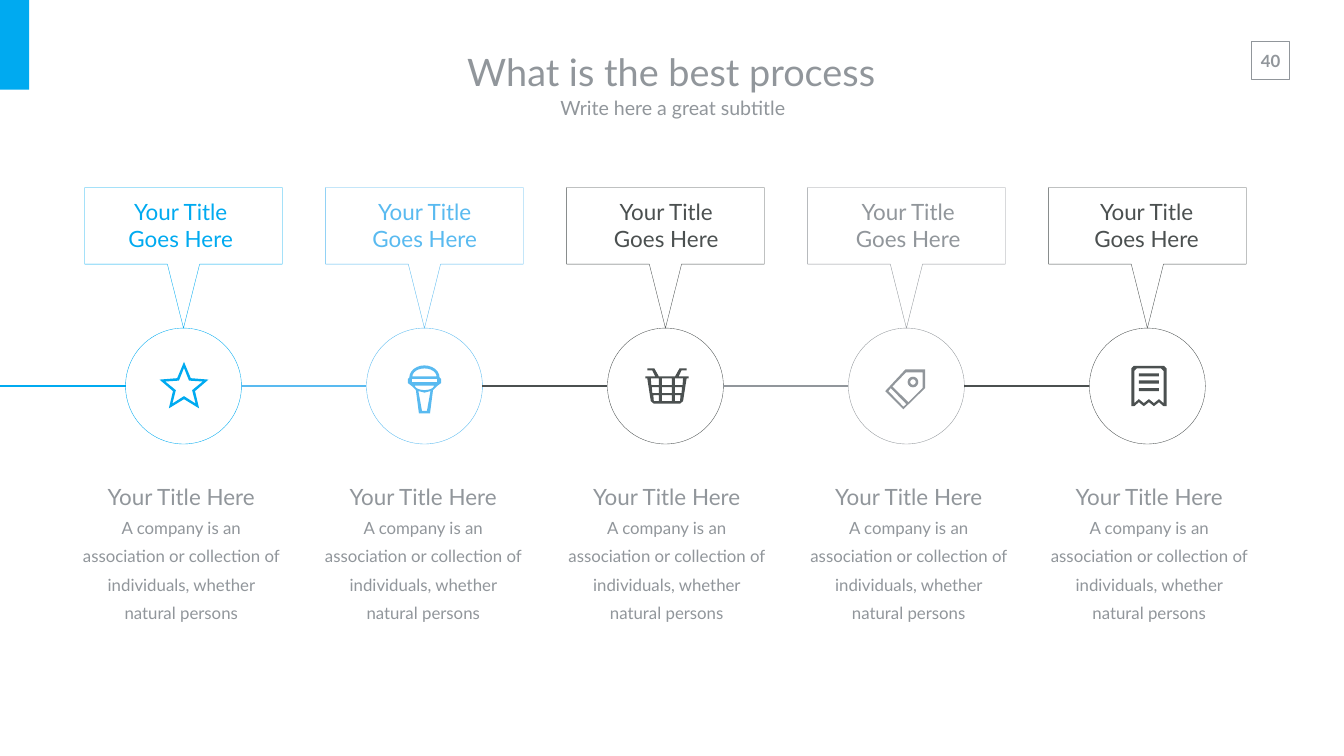
import dataclasses
import math

import pptx
import pptx.dml.color
import pptx.enum.shapes
import pptx.enum.text
import pptx.oxml.ns
import pptx.util
from lxml import etree

Inches = pptx.util.Inches
Shape = pptx.enum.shapes.MSO_SHAPE
Align = pptx.enum.text.PP_ALIGN
Anchor = pptx.enum.text.MSO_ANCHOR
AutoSize = pptx.enum.text.MSO_AUTO_SIZE


@dataclasses.dataclass(frozen=True)
class Theme:
    font: str = "Lato"
    blue: str = "00AAF0"
    sky: str = "59BAF0"
    dark: str = "4B5050"
    grey: str = "91969B"
    white: str = "FFFFFF"
    title_size: int = 54
    subtitle_size: int = 28
    heading_size: int = 32
    body_size: int = 24
    thin: float = 0.5
    frame: float = 1
    thick: float = 3


THEME = Theme()

# Timeline geometry, in inches
FIRST_CENTRE, PITCH, AXIS, RADIUS = 3.64, 4.78, 7.66, 1.15
CALLOUT_TOP = 3.72


# Icon outlines, in hundredths of an inch from the circle's centre
def arc(x, y, radius_x, radius_y, start=0, end=360, steps=24):
    angles = [math.radians(start + (end - start) * step / steps) for step in range(steps + 1)]
    return [(x + radius_x * math.cos(a), y + radius_y * math.sin(a)) for a in angles]


def mirror(half, axis=0):
    """Complete a right half, given from its axis, with its left half."""
    return [(axis + x, y) for x, y in half] + [(axis - x, y) for x, y in reversed(half)]


def box_outline(half_width, top, bottom, axis=0):
    return mirror([(half_width, top), (half_width, bottom)], axis)


def star_outline(outer, inner):
    tips = arc(1, 3, outer, outer, -90, 270, 5)
    notches = arc(1, 3, inner, inner, -54, 306, 5)
    return [point for pair in zip(tips[:5], notches) for point in pair]


def star_icon():
    return [star_outline(51, 23), star_outline(39, 17)]


def microphone_icon():
    body = [(33, -14), (33, -6), (25, 0), (17, 8), (11, 54)]
    return [
        mirror(arc(0, -17, 30, 24, -90, 0, 6) + body),
        mirror(arc(0, -19, 24, 16, -90, 0, 6)),
        box_outline(25, -14, -8),
        mirror(arc(0, -1, 19, 9, 0, 90, 6)),
        mirror([(0, 13), (12, 10), (5, 49)]),
    ]


def basket_icon():
    axis = 3
    rim = [(16, -19), (25, -35), (39, -35), (39, -31), (29, -31), (23, -19), (43, -19)]
    contours = [mirror(rim + [(43, -15), (39, -15), (32, 30), (26, 35)], axis)]
    for top, bottom, right in ((-15, -2, 32), (2, 14, 30), (18, 30, 27)):
        contours.append(box_outline(10, top, bottom, axis))
        for side in (-1, 1):
            cell = [(16, top), (right, top), (right - 1, bottom), (16, bottom)]
            contours.append([(axis + side * x, y) for x, y in cell])
    return contours


def tag_icon():
    return [
        [(37, -33), (-2, -33), (-42, 10), (-6, 46), (37, 4)],
        [(32, -27), (-1, -27), (-28, 1), (4, 32), (32, 4)],
        [(-31, 4), (-36, 10), (-6, 41), (0, 36)],
        arc(13, -8, 10.5, 10.5),
        arc(13, -8, 5.5, 5.5),
    ]


def receipt_icon():
    contours = []
    for half_width, top, bottom in ((35, -40, 40), (29, -35, 34)):
        teeth = [(x, bottom - 8 * (x % 20 == 0)) for x in (20, 10, 0)]
        corners = [(half_width - 5, top), (half_width, top + 5), (half_width, bottom)]
        contours.append(mirror(corners + [(29, bottom)] + teeth, 3))
    return contours + [box_outline(20, top, top + 6, 3) for top in (-25, -11, 4)]


# Colour, left of callout text, left of description, icon
STEPS = [
    (THEME.blue, 1.61, 1.54, star_icon),
    (THEME.sky, 6.45, 6.34, microphone_icon),
    (THEME.dark, 11.24, 11.17, basket_icon),
    (THEME.grey, 16.04, 15.97, tag_icon),
    (THEME.dark, 20.77, 20.74, receipt_icon),
]


def rgb(value):
    return pptx.dml.color.RGBColor.from_string(value)


def style(shape, fill=None, line=None, width=THEME.thin):
    shape.shadow.inherit = False
    for target, colour in ((shape.fill, fill), (shape.line.fill, line)):
        if colour:
            target.solid()
            target.fore_color.rgb = rgb(colour)
        else:
            target.background()
    if line:
        shape.line.width = pptx.util.Pt(width)


def add_preset(slide, kind, box, **look):
    shape = slide.shapes.add_shape(kind, *map(Inches, box))
    style(shape, **look)


def add_outline(slide, contours, x, y, **look):
    """Draw closed contours, in hundredths of an inch around (x, y)."""
    scaled = [[(Inches(a / 100), Inches(b / 100)) for a, b in contour] for contour in contours]
    builder = slide.shapes.build_freeform(*scaled[0][0], scale=1.0)
    for index, contour in enumerate(scaled):
        if index:
            builder.move_to(*contour[0])
        builder.add_line_segments(contour[1:], close=True)
    style(builder.convert_to_shape(Inches(x), Inches(y)), **look)


def add_line(slide, start, end, colour):
    line = slide.shapes.add_connector(
        pptx.enum.shapes.MSO_CONNECTOR.STRAIGHT,
        Inches(start), Inches(AXIS), Inches(end), Inches(AXIS))
    line.line.color.rgb = rgb(colour)
    line.line.width = pptx.util.Pt(THEME.thick)
    etree.SubElement(line._element.spPr, pptx.oxml.ns.qn("a:effectLst"))


def add_text(slide, box, lines, colour, bold=False, spacing=None,
             anchor=Anchor.TOP, wrap=True, margins=(0.1, 0.05)):
    """Add centred paragraphs, given as (text, size) pairs."""
    frame = slide.shapes.add_textbox(*map(Inches, box)).text_frame
    across, down = map(Inches, margins)
    settings = {"word_wrap": wrap, "vertical_anchor": anchor,
                "auto_size": AutoSize.SHAPE_TO_FIT_TEXT,
                "margin_left": across, "margin_right": across,
                "margin_top": down, "margin_bottom": down}
    for name, value in settings.items():
        setattr(frame, name, value)
    for index, (text, size) in enumerate(lines):
        paragraph = frame.add_paragraph() if index else frame.paragraphs[0]
        paragraph.alignment = Align.CENTER
        paragraph.line_spacing = spacing
        run = paragraph.add_run()
        run.text = text
        font_format = {"name": THEME.font, "size": pptx.util.Pt(size), "bold": bold}
        for name, value in font_format.items():
            setattr(run.font, name, value)
        run.font.color.rgb = rgb(colour)


def add_header(slide):
    # Page number and corner mark
    add_text(slide, (24.8, 0.9, 0.81, 0.61), [("40", THEME.body_size)], THEME.grey,
             bold=True, wrap=False, margins=(0.2, 0.1))
    add_preset(slide, Shape.RECTANGLE, (24.83, 0.82, 0.75, 0.75),
               line=THEME.grey, width=THEME.frame)
    add_preset(slide, Shape.RECTANGLE, (0, 0, 0.58, 1.78), fill=THEME.blue)
    # Title and subtitle
    for box, text, size in (
            ((8.15, 0.83, 10.33, 1.18), "What is the best process", THEME.title_size),
            ((8.18, 1.76, 10.33, 0.74), "Write here a great subtitle", THEME.subtitle_size)):
        add_text(slide, box, [(text, size)], THEME.grey, anchor=Anchor.MIDDLE,
                 margins=(0.27, 0.13))


def add_step(slide, index, colour, callout_left, body_left, icon):
    centre = FIRST_CENTRE + index * PITCH
    # Circle, incoming line and icon
    add_preset(slide, Shape.OVAL, (centre - RADIUS, AXIS - RADIUS, 2 * RADIUS, 2 * RADIUS),
               fill=THEME.white, line=colour)
    add_line(slide, centre - PITCH + RADIUS if index else 0, centre - RADIUS, colour)
    add_outline(slide, icon(), centre, AXIS, fill=colour)
    # Callout pointing at the circle
    callout = mirror([(196, 0), (196, 152), (32, 152), (0, 279)])
    add_outline(slide, [callout], centre, CALLOUT_TOP, line=colour)
    add_text(slide, (callout_left, 3.89, 3.95, 1.18),
             [(text, THEME.heading_size) for text in ("Your Title", "Goes Here")], colour)
    # Description below
    add_text(slide, (body_left, 9.32, 4.11, 2.52),
             [("Your Title Here", THEME.heading_size),
              ("A company is an association or collection of individuals, "
               "whether natural persons", THEME.body_size)],
             THEME.grey, spacing=1.4)


def main():
    presentation = pptx.Presentation()
    presentation.slide_width, presentation.slide_height = Inches(26.66), Inches(15)
    slide = presentation.slides.add_slide(presentation.slide_layouts[6])
    add_header(slide)
    for index, step in enumerate(STEPS):
        add_step(slide, index, *step)
    presentation.save("out.pptx")


if __name__ == "__main__":
    main()
